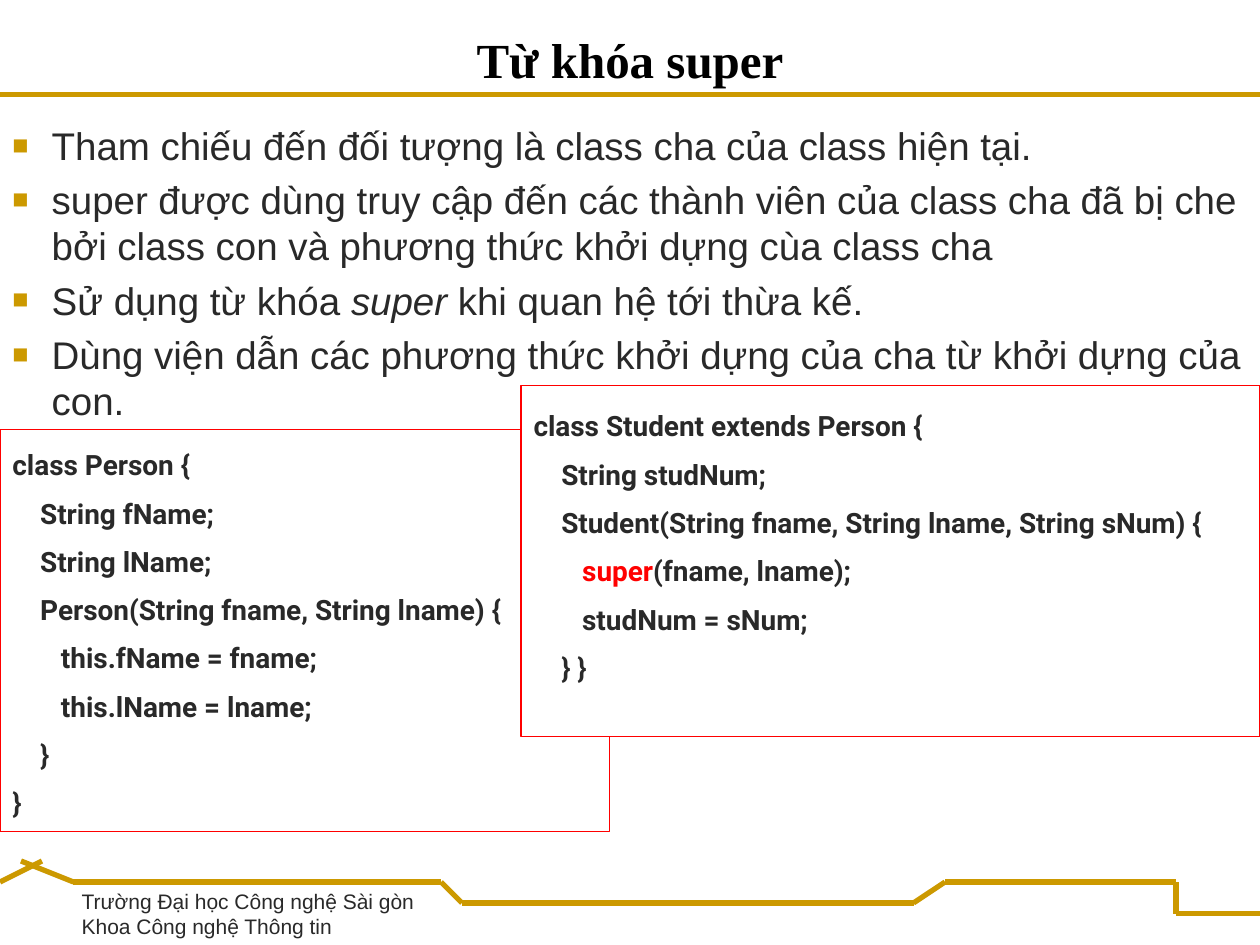
import pptx
import pptx.util
import pptx.dml.color
import pptx.enum.shapes
import pptx.enum.text
import pptx.oxml.ns
import lxml.etree

Pt = pptx.util.Pt
qn = pptx.oxml.ns.qn
hues = {"gold": "CC9900", "ink": "292929", "black": "000000", "red": "FF0000", "white": "FFFFFF"}


def tint(name):
    return pptx.dml.color.RGBColor.from_string(hues[name])


def write(para, text, size, face, hue="ink", bold=False, slant=False):
    run = para.add_run()
    run.text = text
    run.font.size = Pt(size)
    run.font.name = face
    run.font.bold = bold
    run.font.italic = slant
    run.font.color.rgb = tint(hue)


deck = pptx.Presentation()
deck.slide_width = Pt(720)
deck.slide_height = Pt(540)
slide = deck.slides.add_slide(deck.slide_layouts[6])
shapes = slide.shapes

trails = [
    [(0, 54), (720, 54)],
    [(0, 504), (24, 492)],
    [(12, 492), (42, 504), (252, 504), (264, 516), (522, 516),
     (540, 504), (672, 504), (672, 522), (720, 522)],
]
for trail in trails:
    for (x1, y1), (x2, y2) in zip(trail, trail[1:]):
        line = shapes.add_connector(pptx.enum.shapes.MSO_CONNECTOR.STRAIGHT, Pt(x1), Pt(y1), Pt(x2), Pt(y2))
        line.line.color.rgb = tint("gold")
        line.line.width = Pt(3)
        lxml.etree.SubElement(line._element.spPr, qn("a:effectLst"))

foot = shapes.add_textbox(Pt(39.6), Pt(504), Pt(204.5), Pt(36)).text_frame
foot.word_wrap = False
for i, text in enumerate(["Trường Đại học Công nghệ Sài gòn", "Khoa Công nghệ Thông tin"]):
    para = foot.add_paragraph() if i else foot.paragraphs[0]
    write(para, text, 12, "Arial")

title = shapes.add_textbox(0, Pt(2.9), Pt(720), Pt(51.1)).text_frame
title.word_wrap = True
title.vertical_anchor = pptx.enum.text.MSO_ANCHOR.BOTTOM
title.paragraphs[0].alignment = pptx.enum.text.PP_ALIGN.CENTER
write(title.paragraphs[0], "Từ khóa super", 28, "Times New Roman", "black", True)

points = [
    ["Tham chiếu đến đối tượng là class cha của class hiện tại."],
    ["super được dùng truy cập đến các thành viên của class cha đã bị che "
     "bởi class con và phương thức khởi dựng cùa class cha"],
    ["Sử dụng từ khóa ", "super", " khi quan hệ tới thừa kế."],
    ["Dùng viện dẫn các phương thức khởi dựng của cha từ khởi dựng của con."],
]
body = shapes.add_textbox(0, Pt(66.2), Pt(720), Pt(131)).text_frame
body.word_wrap = True
for i, parts in enumerate(points):
    para = body.add_paragraph() if i else body.paragraphs[0]
    para.space_before = Pt(4.6 if i else 0)
    props = para._p.get_or_add_pPr()
    props.set("marL", str(Pt(22.5)))
    props.set("indent", str(-Pt(22.5)))
    color = lxml.etree.SubElement(props, qn("a:buClr"))
    lxml.etree.SubElement(color, qn("a:srgbClr"), val=hues["gold"])
    lxml.etree.SubElement(props, qn("a:buSzPct"), val="70000")
    lxml.etree.SubElement(props, qn("a:buFont"), typeface="Arial")
    lxml.etree.SubElement(props, qn("a:buChar"), char="■")
    for j, text in enumerate(parts):
        write(para, text, 22, "Arial", slant=j == 1)

person = [
    "class Person {",
    "    String fName;",
    "    String lName;",
    "    Person(String fname, String lname) {",
    "       this.fName = fname;",
    "       this.lName = lname;",
    "    }",
    "}",
]
student = [
    "class Student extends Person {",
    "    String studNum;",
    "    Student(String fname, String lname, String sNum) {",
    "       super(fname, lname);",
    "       studNum = sNum;",
    "    } }",
]
panels = [
    (0, 245.6, 348.4, 229.6, 10.4, person),
    (297.8, 220.3, 422.2, 200.4, 13.4, student),
]
for left, top, width, height, inset, code in panels:
    box = shapes.add_shape(pptx.enum.shapes.MSO_SHAPE.RECTANGLE, Pt(left), Pt(top), Pt(width), Pt(height))
    box.shadow.inherit = False
    box.fill.solid()
    box.fill.fore_color.rgb = tint("white")
    box.line.color.rgb = tint("red")
    box.line.width = Pt(0.75)
    frame = box.text_frame
    frame.word_wrap = True
    frame.vertical_anchor = pptx.enum.text.MSO_ANCHOR.TOP
    frame.margin_top = Pt(inset)
    for i, text in enumerate(code):
        para = frame.add_paragraph() if i else frame.paragraphs[0]
        para.alignment = pptx.enum.text.PP_ALIGN.LEFT
        para.space_before = Pt(8.4 if i else 0)
        for part in text.partition("super"):
            if part:
                write(para, part, 16, "Roboto", "red" if part == "super" else "ink", True)

deck.save("out.pptx")
